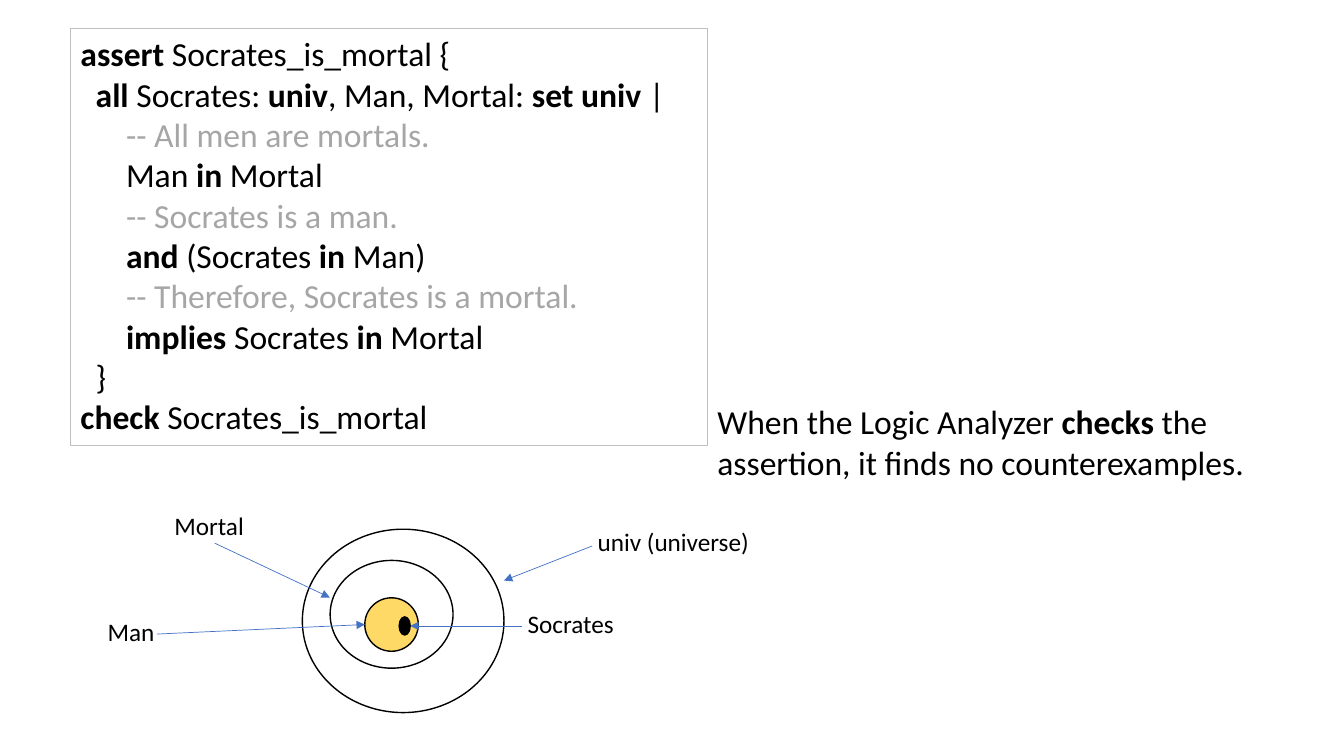
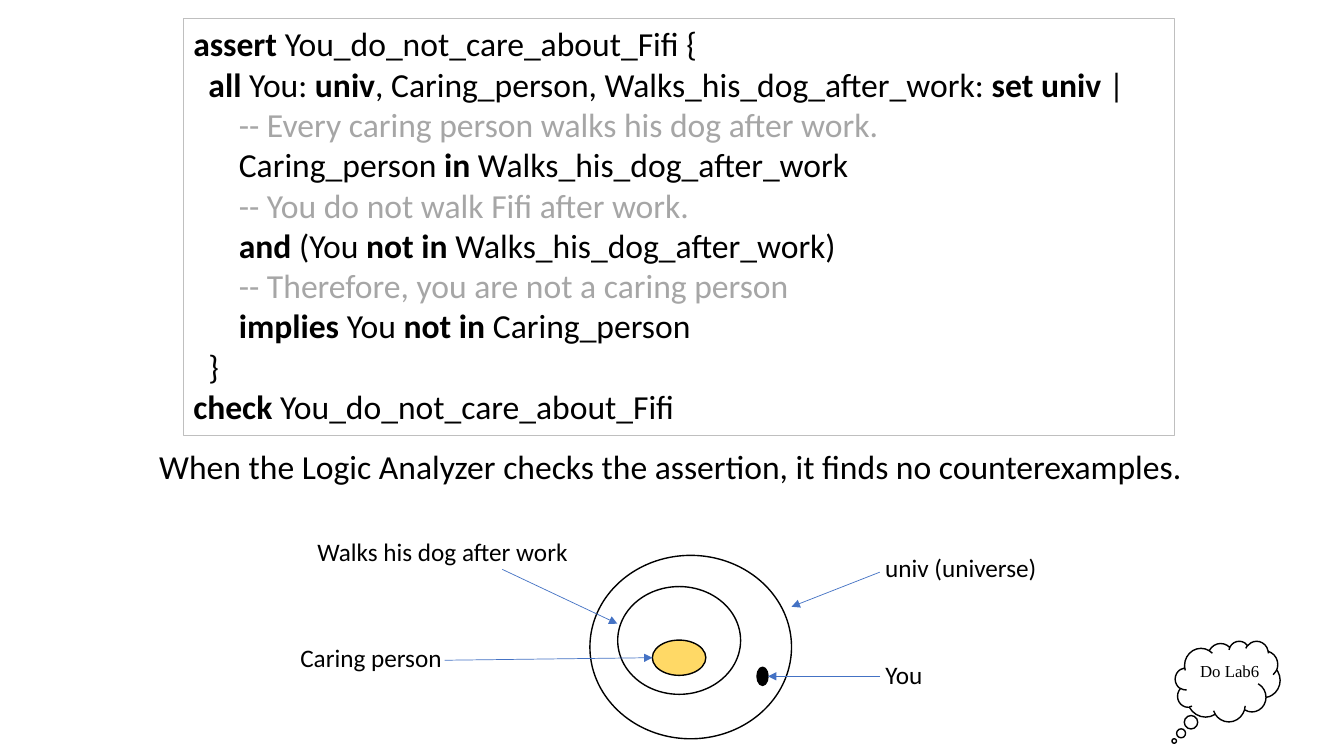
from dataclasses import dataclass

from lxml import etree
from pptx import Presentation
from pptx.dml.color import RGBColor
from pptx.enum.shapes import MSO_CONNECTOR, MSO_SHAPE
from pptx.enum.text import MSO_ANCHOR, MSO_AUTO_SIZE, PP_ALIGN
from pptx.oxml.ns import qn
from pptx.shapes.autoshape import Shape
from pptx.shapes.shapetree import GroupShapes, SlideShapes
from pptx.slide import Slide
from pptx.text.text import TextFrame
from pptx.util import Pt

RECTANGLE, ELLIPSE, CLOUD = MSO_SHAPE.RECTANGLE, MSO_SHAPE.OVAL, MSO_SHAPE.CLOUD_CALLOUT
STRAIGHT = MSO_CONNECTOR.STRAIGHT
LEFT, CENTER, TOP = PP_ALIGN.LEFT, PP_ALIGN.CENTER, MSO_ANCHOR.TOP
FIT_SHAPE = MSO_AUTO_SIZE.SHAPE_TO_FIT_TEXT


@dataclass(frozen=True)
class Theme:
    ink: RGBColor = RGBColor(0x00, 0x00, 0x00)
    paper: RGBColor = RGBColor(0xFF, 0xFF, 0xFF)
    comment: RGBColor = RGBColor(0xA6, 0xA6, 0xA6)
    frame: RGBColor = RGBColor(0xBF, 0xBF, 0xBF)
    arrow: RGBColor = RGBColor(0x44, 0x72, 0xC4)
    core: RGBColor = RGBColor(0xFF, 0xD9, 0x66)
    font: str = "Calibri"
    note_font: str = "Times New Roman"
    body_size: float = 24
    label_size: float = 18
    note_size: float = 12
    frame_line: float = 0.75
    ring_line: float = 1
    arrow_line: float = 0.5
    indent: float = 10.85  # one code indent step


THEME = Theme()


@dataclass(frozen=True)
class Box:
    left: float
    top: float
    width: float
    height: float

    def moved(self, dx: float, dy: float) -> "Box":
        return Box(self.left + dx, self.top + dy, self.width, self.height)

    def lengths(self) -> tuple[Pt, Pt, Pt, Pt]:
        return Pt(self.left), Pt(self.top), Pt(self.width), Pt(self.height)


@dataclass(frozen=True)
class CodeLine:
    text: str  # *stars* enclose keywords
    level: int = 0


@dataclass(frozen=True)
class SetLabel:
    text: str
    box: Box


@dataclass(frozen=True)
class SetDiagram:
    """Nested sets; all boxes are relative to the outer ring's corner."""
    left: float
    top: float
    core: Box
    member: Box
    middle_label: SetLabel
    core_label: SetLabel
    member_name: str
    member_label_width: float


@dataclass(frozen=True)
class Argument:
    code_box: Box
    code: tuple[CodeLine, ...]
    verdict_box: Box
    verdict: str
    diagram: SetDiagram


# Geometry shared by both diagrams
OUTER_RING = Box(0, 0, 144, 131)
MIDDLE_RING = Box(19.8, 22.3, 87.8, 77)
UNIVERSE_LABEL = SetLabel("univ (universe)", Box(203.8, -5.8, 126, 28.8))
UNIVERSE_ARROW = ((207, 12), (144, 36.7))
MIDDLE_ARROW = ((-62.6, 10), (19.6, 48.8))
CORE_ARROW_START = (-103.7, 74.9)
MEMBER_ARROW_LENGTH = 80

ARGUMENTS = (
    Argument(
        Box(50.4, 20.2, 455, 298.1),
        (
            CodeLine("*assert* Socrates_is_mortal {"),
            CodeLine("*all* Socrates: *univ*, Man, Mortal: *set univ* |", 1),
            CodeLine("-- All men are mortals.", 3),
            CodeLine("Man *in* Mortal", 3),
            CodeLine("-- Socrates is a man.", 3),
            CodeLine("*and* (Socrates *in* Man)", 3),
            CodeLine("-- Therefore, Socrates is a mortal.", 3),
            CodeLine("*implies* Socrates *in* Mortal", 3),
            CodeLine("}", 1),
            CodeLine("*check* Socrates_is_mortal"),
        ),
        Box(505.4, 283, 398.2, 65.5),
        "When the Logic Analyzer *checks* the assertion, it finds no counterexamples.",
        SetDiagram(
            216, 378, Box(44.6, 49, 38.2, 38.2), Box(69.1, 62.6, 7.9, 13),
            SetLabel("Mortal", Box(-98.6, -17.3, 64.8, 28.8)),
            SetLabel("Man", Box(-146.2, 59, 48.2, 28.8)),
            "Socrates", 76.3,
        ),
    ),
    Argument(
        Box(131, 13, 707.8, 298.1),
        (
            CodeLine("*assert* You_do_not_care_about_Fifi {"),
            CodeLine("*all* You: *univ*, Caring_person, Walks_his_dog_after_work: *set univ* |", 1),
            CodeLine("-- Every caring person walks his dog after work.", 3),
            CodeLine("Caring_person *in* Walks_his_dog_after_work", 3),
            CodeLine("-- You do not walk Fifi after work.", 3),
            CodeLine("*and* (You *not in* Walks_his_dog_after_work)", 3),
            CodeLine("-- Therefore, you are not a caring person", 3),
            CodeLine("*implies* You *not in* Caring_person", 3),
            CodeLine("}", 1),
            CodeLine("*check* You_do_not_care_about_Fifi"),
        ),
        Box(106.6, 315.2, 757.4, 36),
        "When the Logic Analyzer checks the assertion, it finds no counterexamples.",
        SetDiagram(
            421.4, 396.7, Box(44.6, 60.5, 38.2, 25.2), Box(119.3, 79.9, 7.9, 13),
            SetLabel("Walks his dog after work", Box(-201.8, -17.3, 195.8, 28.8)),
            SetLabel("Caring person", Box(-214, 58.3, 116.6, 28.8)),
            "You", 41,
        ),
    ),
)


# Drawing primitives
def write_lines(frame: TextFrame, lines: tuple[CodeLine, ...], size: float,
                font: str = THEME.font, align: PP_ALIGN = LEFT, wrap: bool = True) -> None:
    frame.word_wrap = wrap
    frame.auto_size = FIT_SHAPE
    frame.vertical_anchor = TOP
    for number, line in enumerate(lines):
        paragraph = frame.add_paragraph() if number else frame.paragraphs[0]
        paragraph.alignment = align
        paragraph.font.name = font
        paragraph.font.size = Pt(size)
        is_comment = line.text.startswith("--")
        paragraph.font.color.rgb = THEME.comment if is_comment else THEME.ink
        if line.level:
            properties = paragraph._p.get_or_add_pPr()
            properties.set("marL", str(Pt(line.level * THEME.indent)))
            properties.set("indent", "0")
        for position, part in enumerate(line.text.split("*")):
            if part:
                run = paragraph.add_run()
                run.text = part
                if position % 2:
                    run.font.bold = True


def add_text(shapes: SlideShapes | GroupShapes, box: Box, text: str, size: float,
             font: str = THEME.font, align: PP_ALIGN = LEFT, wrap: bool = False) -> None:
    frame = shapes.add_textbox(*box.lengths()).text_frame
    write_lines(frame, (CodeLine(text),), size, font, align, wrap)


def add_outline(shapes: SlideShapes | GroupShapes, kind: MSO_SHAPE, box: Box,
                line: RGBColor = THEME.ink, width: float = THEME.ring_line,
                fill: RGBColor | None = None) -> Shape:
    shape = shapes.add_shape(kind, *box.lengths())
    shape.shadow.inherit = False
    shape.line.color.rgb = line
    shape.line.width = Pt(width)
    if fill is None:
        shape.fill.background()
    else:
        shape.fill.solid()
        shape.fill.fore_color.rgb = fill
    return shape


def add_arrow(shapes: GroupShapes, start: tuple[float, float], end: tuple[float, float]) -> None:
    arrow = shapes.add_connector(STRAIGHT, *(Pt(value) for value in (*start, *end)))
    arrow.line.color.rgb = THEME.arrow
    arrow.line.width = Pt(THEME.arrow_line)
    etree.SubElement(arrow.line._get_or_add_ln(), qn("a:tailEnd"), type="triangle")
    etree.SubElement(arrow._element.spPr, qn("a:effectLst"))


# Slide parts
def draw_diagram(slide: Slide, diagram: SetDiagram) -> None:
    shapes = slide.shapes.add_group_shape().shapes
    core, member = diagram.core, diagram.member
    core_edge = (core.left, core.top + core.height / 2)
    member_edge = (member.left + member.width, member.top + member.height / 2)
    member_arrow_start = (member_edge[0] + MEMBER_ARROW_LENGTH, member_edge[1])
    member_label = SetLabel(diagram.member_name, Box(
        member_arrow_start[0] - 3.2, member.top - 9.4, diagram.member_label_width, 28.8))

    for ring, fill in ((OUTER_RING, None), (MIDDLE_RING, None),
                       (core, THEME.core), (member, THEME.ink)):
        add_outline(shapes, ELLIPSE, ring.moved(diagram.left, diagram.top), fill=fill)
    for ends in (UNIVERSE_ARROW, MIDDLE_ARROW, (CORE_ARROW_START, core_edge),
                 (member_arrow_start, member_edge)):
        start, end = ((x + diagram.left, y + diagram.top) for x, y in ends)
        add_arrow(shapes, start, end)
    for label in (UNIVERSE_LABEL, diagram.middle_label, diagram.core_label, member_label):
        add_text(shapes, label.box.moved(diagram.left, diagram.top), label.text, THEME.label_size)


def draw_argument(slide: Slide, argument: Argument) -> None:
    code = add_outline(slide.shapes, RECTANGLE, argument.code_box, THEME.frame, THEME.frame_line)
    write_lines(code.text_frame, argument.code, THEME.body_size)
    add_text(slide.shapes, argument.verdict_box, argument.verdict, THEME.body_size, wrap=True)
    draw_diagram(slide, argument.diagram)


def draw_lab_note(slide: Slide) -> None:
    cloud = add_outline(slide.shapes, CLOUD, Box(839.5, 457.9, 74.9, 57.6), fill=THEME.paper)
    cloud.adjustments[0] = -0.51
    cloud.adjustments[1] = 0.74
    add_text(slide.shapes, Box(849.6, 468.7, 57.6, 21.6), "Do Lab6",
             THEME.note_size, THEME.note_font, CENTER)


def main() -> None:
    deck = Presentation()
    deck.slide_width, deck.slide_height = Pt(960), Pt(540)
    blank = deck.slide_layouts[6]
    for argument in ARGUMENTS:
        draw_argument(deck.slides.add_slide(blank), argument)
    draw_lab_note(deck.slides[1])
    deck.save("out.pptx")


main()
